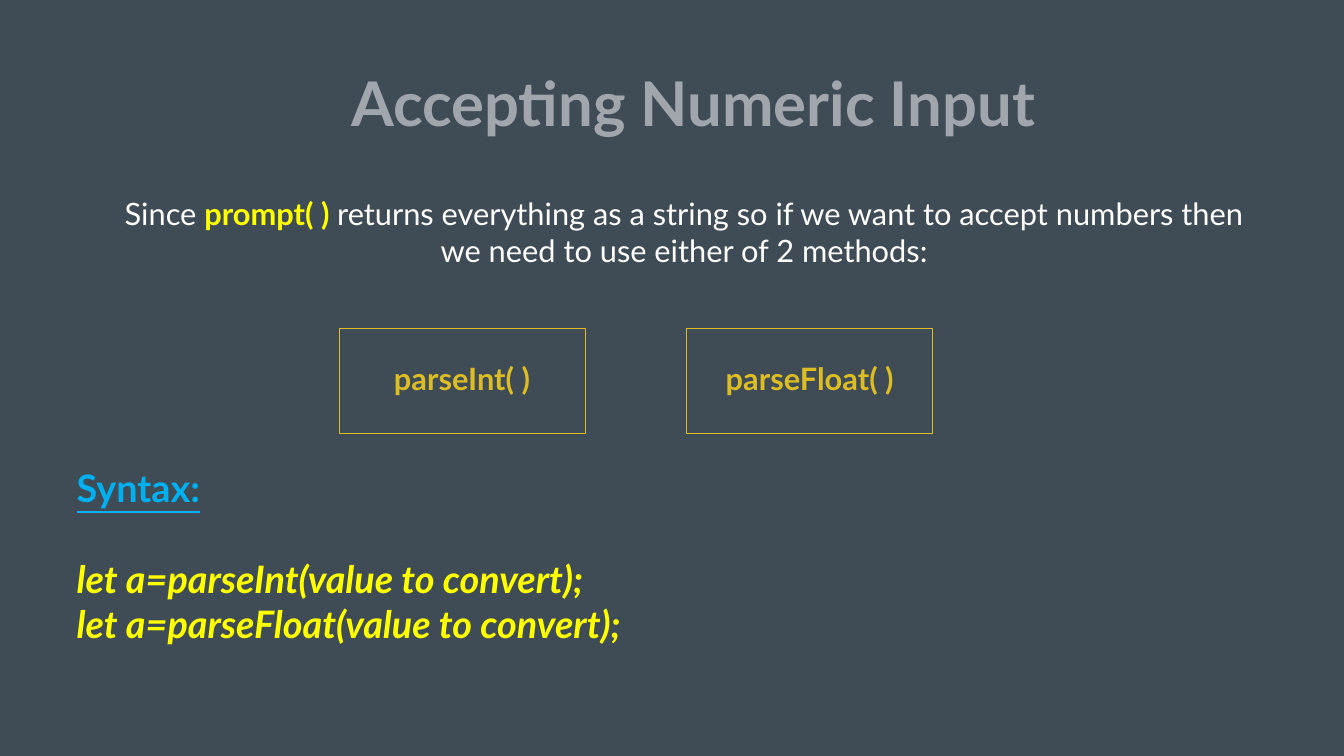
from pptx import Presentation
from pptx import util as u
from pptx.dml.color import RGBColor
from pptx.enum import shapes, text

# Content: each paragraph is a list of (words, style) runs
TITLE = [[("Accepting Numeric Input", "title")]]
INTRO = [[
    ("Since ", "body"),
    ("prompt( ) ", "keyword"),
    ("returns everything as a string so if we want to accept numbers then "
     "we need to use either of 2 methods:", "body"),
]]
METHODS = ["parseInt( )", "parseFloat( )"]
SYNTAX = [
    [("Syntax:", "heading")],
    [("let a=parseInt(value to convert);", "code")],
    [("let a=parseFloat(value to convert);", "code")],
]

THEME = {
    "font": "Lato",
    "background": "404C55",
    "outline": "DCBD23",
    "styles": {
        "title": dict(size=88, color="A1A6AC", bold=True),
        "body": dict(size=44, color="FFFFFF"),
        "keyword": dict(size=44, color="FFFF00", bold=True),
        "method": dict(size=44, color="DCBD23", bold=True),
        "heading": dict(size=54, color="00B0F0", bold=True, underline=True),
        "code": dict(size=54, color="FFFF00", bold=True, italic=True),
    },
}

# Layout: left, top, width, height as percentages of the slide
WIDTH, HEIGHT = 26.67, 15
TITLE_AREA = (5.77, 8, 91.6, 10.93)
INTRO_AREA = (8.17, 25.8, 85.49, 14.8)
SYNTAX_AREA = (5.4, 60.9, 59.09, 31.33)
METHOD_AREA = (25.23, 43.47, 18.3, 13.8)
METHOD_STEP = 25.87
INSET = 0.08


def place(area):
    left, top, width, height = area
    return [u.Inches(share * side / 100) for share, side in
            ((left, WIDTH), (top, HEIGHT), (width, WIDTH), (height, HEIGHT))]


def write(shape, paragraphs, align, anchor, inset=INSET):
    frame = shape.text_frame
    frame.word_wrap = True
    frame.vertical_anchor = anchor
    frame.margin_left = frame.margin_right = u.Inches(inset)
    frame.margin_top = frame.margin_bottom = u.Inches(inset)
    frame.text = "\n".join("" for _ in paragraphs)
    for paragraph, runs in zip(frame.paragraphs, paragraphs):
        paragraph.alignment = align
        for words, style_name in runs:
            style = THEME["styles"][style_name]
            run = paragraph.add_run()
            run.text = words
            font = run.font
            font.name = THEME["font"]
            font.size = u.Pt(style["size"])
            font.color.rgb = RGBColor.from_string(style["color"])
            font.bold = style.get("bold", False)
            font.italic = style.get("italic", False)
            font.underline = style.get("underline", False)
    return frame


def main():
    deck = Presentation()
    deck.slide_width, deck.slide_height = u.Inches(WIDTH), u.Inches(HEIGHT)
    slide = deck.slides.add_slide(deck.slide_layouts[6])
    slide.background.fill.solid()
    slide.background.fill.fore_color.rgb = RGBColor.from_string(THEME["background"])
    parts = slide.shapes
    center, left = text.PP_ALIGN.CENTER, text.PP_ALIGN.LEFT
    middle, top = text.MSO_ANCHOR.MIDDLE, text.MSO_ANCHOR.TOP

    # Title and introduction
    write(parts.add_textbox(*place(TITLE_AREA)), TITLE, center, middle)
    write(parts.add_textbox(*place(INTRO_AREA)), INTRO, center, top, inset=0)

    # Syntax, with one line of space below its heading
    syntax = write(parts.add_textbox(*place(SYNTAX_AREA)), SYNTAX, left, top)
    syntax.paragraphs[1].space_before = u.Pt(65)

    # Outlined method boxes, evenly stepped
    first_left, *rest = METHOD_AREA
    for column, method in enumerate(METHODS):
        area = (first_left + column * METHOD_STEP, *rest)
        box = parts.add_shape(shapes.MSO_SHAPE.RECTANGLE, *place(area))
        box.shadow.inherit = False
        box.fill.background()
        box.line.color.rgb = RGBColor.from_string(THEME["outline"])
        box.line.width = u.Pt(1)
        label = write(box, [[(method, "method")]], center, middle)
        label.margin_bottom = u.Inches(0.2)

    deck.save("out.pptx")


if __name__ == "__main__":
    main()
